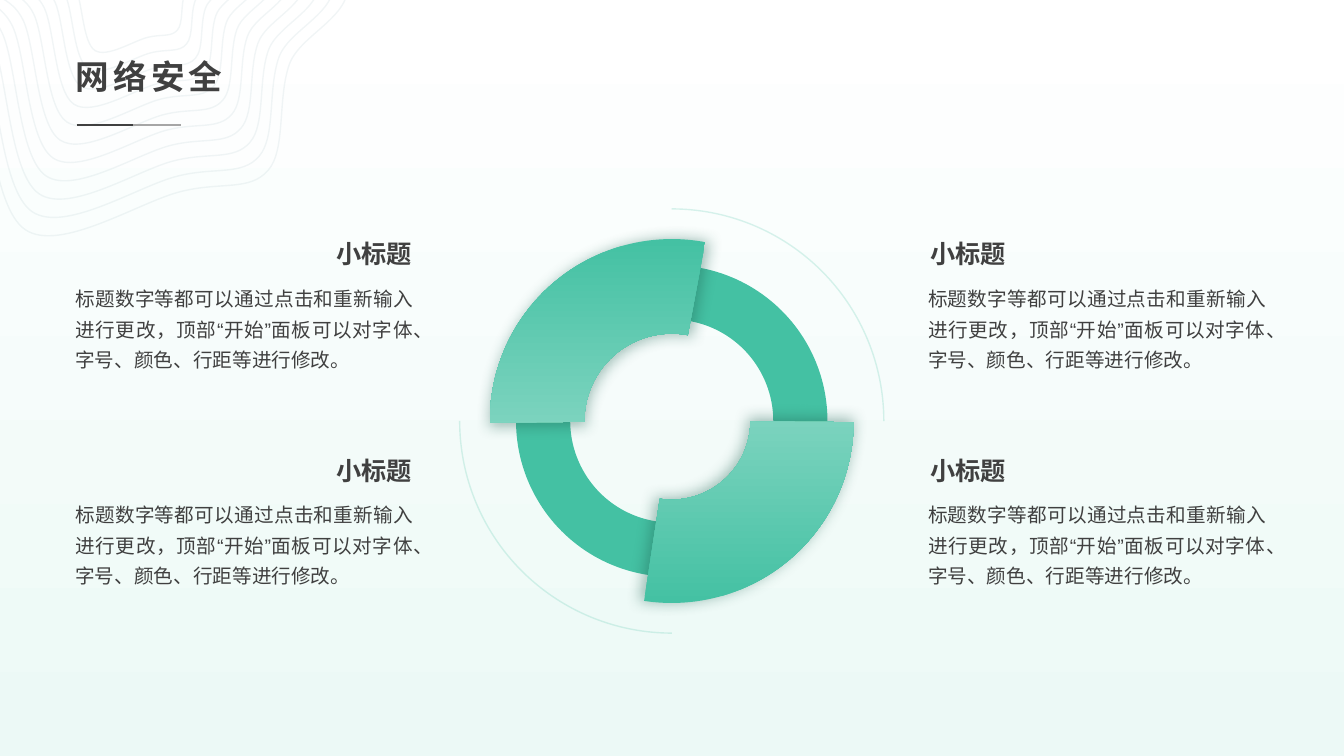
from lxml.etree import SubElement
from pptx import Presentation
from pptx.dml.color import RGBColor
from pptx.enum.lang import MSO_LANGUAGE_ID
from pptx.enum.shapes import MSO_CONNECTOR, MSO_SHAPE
from pptx.enum.text import MSO_ANCHOR, MSO_AUTO_SIZE, PP_ALIGN
from pptx.oxml.ns import qn
from pptx.util import Cm, Pt

WHITE = RGBColor(0xFF, 0xFF, 0xFF)
MINT = RGBColor(0xEC, 0xF9, 0xF6)
GREEN = RGBColor(0x44, 0xC1, 0xA3)
PALE_GREEN = RGBColor(0xB4, 0xE6, 0xDA)
SHADOW_GREEN = RGBColor(0x20, 0x62, 0x52)
CONTOUR_BLUE = RGBColor(0x1E, 0x5E, 0x70)
INK = RGBColor(0x40, 0x40, 0x40)
GREY = RGBColor(0xA6, 0xA6, 0xA6)
FONT = "Arial"

HEADING = "小标题"
BODY = "标题数字等都可以通过点击和重新输入进行更改，顶部“开始”面板可以对字体、字号、颜色、行距等进行修改。"

# Outermost contour in cm: a start point, then Bezier triples
CONTOUR_START = (4.55, 4.83)
CONTOUR_CURVES = [
    ((3.53, 5.08), (1.52, 6.38), (0.64, 5.79)),
    ((-0.23, 5.21), (-0.28, 2.31), (-0.74, 1.30)),
    ((-1.22, 0.28), (-2.08, 0.51), (-2.16, -0.36)),
    ((-2.26, -1.22), (-2.13, -3.05), (-1.27, -3.89)),
    ((-0.43, -4.75), (1.30, -5.99), (2.92, -5.49)),
    ((4.57, -4.98), (7.87, -2.08), (8.59, -0.89)),
    ((9.32, 0.30), (7.59, 0.76), (7.29, 1.63)),
    ((6.99, 2.49), (7.21, 3.78), (6.76, 4.29)),
    ((6.30, 4.83), (5.56, 4.57), CONTOUR_START),
]
CONTOUR_CENTRE = (3.29, -1.06)
CONTOUR_COUNT = 11
INNER_SCALE = 0.34


def set_gradient(fill, first, last):
    """Vertical gradient from top to bottom."""
    fill.gradient()
    fill.gradient_angle = 270
    for stop, colour, position in zip(fill.gradient_stops, (first, last), (0, 1)):
        stop.color.rgb = colour
        stop.position = position


def set_line(shape, colour, opacity=100):
    shape.line.color.rgb = colour
    shape.line.width = Pt(1)
    if opacity < 100:
        tint = shape.element.spPr.find(qn("a:ln")).find(".//" + qn("a:srgbClr"))
        SubElement(tint, qn("a:alpha")).set("val", str(opacity * 1000))


def write_text(box, text, size, bold=False, wrap=False):
    frame = box.text_frame
    frame.text = text
    frame.word_wrap = wrap
    frame.auto_size = MSO_AUTO_SIZE.SHAPE_TO_FIT_TEXT
    para = frame.paragraphs[0]
    span = para.runs[0]
    span.font.name = FONT
    span.font.size = Pt(size)
    span.font.bold = bold
    span.font.color.rgb = INK
    span.font.language_id = MSO_LANGUAGE_ID.SIMPLIFIED_CHINESE
    SubElement(span.font._element, qn("a:ea")).set("typeface", FONT)
    return para


def add_contour(page, scale):
    """One wavy outline, scaled about the common centre."""
    def place(point):
        return tuple(Cm(c + scale * (v - c)) for v, c in zip(point, CONTOUR_CENTRE))

    corners = [place(curve[-1]) for curve in CONTOUR_CURVES]
    builder = page.shapes.build_freeform(*place(CONTOUR_START))
    builder.add_line_segments(corners, close=True)
    contour = builder.convert_to_shape()
    # Turn each straight segment into its Bezier curve
    segments = list(contour.element.iter(qn("a:lnTo")))
    for segment, curve in zip(segments, CONTOUR_CURVES):
        segment.clear()
        segment.tag = qn("a:cubicBezTo")
        for x, y in map(place, curve):
            SubElement(segment, qn("a:pt"),
                       x=str(x - contour.left), y=str(y - contour.top))
    contour.shadow.inherit = False
    contour.fill.background()
    set_line(contour, CONTOUR_BLUE, 5)


def add_contours(page):
    """Nested outlines, shrinking evenly."""
    for index in range(CONTOUR_COUNT):
        add_contour(page, 1 - (1 - INNER_SCALE) * index / (CONTOUR_COUNT - 1))


def add_heading(page, left, top):
    """Slide title with its two-tone rule."""
    for length, colour in ((2.64, GREY), (1.42, INK)):
        rule = page.shapes.add_connector(
            MSO_CONNECTOR.STRAIGHT, Cm(left + 0.28), Cm(top + 1.75),
            Cm(left + 0.28 + length), Cm(top + 1.75))
        set_line(rule, colour)
        SubElement(rule.element.spPr, qn("a:effectLst"))
    title = page.shapes.title
    title.left, title.top, title.width, title.height = Cm(left), Cm(top), Cm(4.37), Cm(1.17)
    para = write_text(title, "网络安全", 24, bold=True)
    title.text_frame.vertical_anchor = MSO_ANCHOR.MIDDLE
    para.alignment = PP_ALIGN.LEFT
    para.line_spacing = 0.9
    para.runs[0].font._element.set("spc", "300")
    page.shapes.element.append(title.element)


def add_dial_part(page, kind, centre, size, flips="", adjustments=()):
    x, y = centre
    part = page.shapes.add_shape(
        kind, Cm(x - size / 2), Cm(y - size / 2), Cm(size), Cm(size))
    for index, value in enumerate(adjustments):
        part.adjustments[index] = value
    for flip in flips:
        part.element.spPr.find(qn("a:xfrm")).set("flip" + flip, "1")
    part.shadow.inherit = False
    return part


def add_blade_shadow(blade):
    effects = blade.element.spPr.find(qn("a:effectLst"))
    shadow = SubElement(effects, qn("a:outerShdw"), blurRad=str(Pt(10)),
                        sx="102000", sy="102000", algn="tl", rotWithShape="0")
    tint = SubElement(shadow, qn("a:srgbClr"), val=str(SHADOW_GREEN))
    SubElement(tint, qn("a:alpha"), val="40000")


def add_dial(page, centre):
    """Two ring quarters, two raised blades and two thin outer arcs."""
    for flips in ("V", "H"):
        ring = add_dial_part(page, MSO_SHAPE.BLOCK_ARC, centre, 7.85, flips,
                             (107.68, 161.88, 0.174))
        ring.fill.solid()
        ring.fill.fore_color.rgb = GREEN
        ring.line.fill.background()
    for flips, adjustments in (("", (107.68, 168.36, 0.26)),
                               ("HV", (108.21, 167.24, 0.284))):
        blade = add_dial_part(page, MSO_SHAPE.BLOCK_ARC, centre, 9.17, flips, adjustments)
        set_gradient(blade.fill, GREEN, PALE_GREEN)
        blade.line.fill.background()
        add_blade_shadow(blade)
    for flips in ("", "HV"):
        arc = add_dial_part(page, MSO_SHAPE.ARC, centre, 10.69, flips)
        arc.fill.background()
        set_line(arc, GREEN, 20)


def add_text_block(page, left, top, heading_offset):
    """Small heading above a justified paragraph."""
    body = page.shapes.add_textbox(Cm(left), Cm(top + 1.04), Cm(9.02), Cm(2.51))
    para = write_text(body, BODY, 14, wrap=True)
    para.alignment = PP_ALIGN.JUSTIFY
    para.line_spacing = 1.3
    heading = page.shapes.add_textbox(
        Cm(left + heading_offset), Cm(top), Cm(2.44), Cm(1.02))
    write_text(heading, HEADING, 18, bold=True)


def main():
    deck = Presentation()
    deck.slide_width, deck.slide_height = Cm(33.87), Cm(19.05)
    page = deck.slides.add_slide(deck.slide_layouts[5])
    set_gradient(page.background.fill, WHITE, MINT)
    add_contours(page)
    add_heading(page, 1.65, 1.4)
    add_dial(page, (16.93, 10.61))
    for left, heading_offset in ((23.14, 0.05), (1.65, 6.58)):
        for row in range(2):
            add_text_block(page, left, 5.89 + 5.45 * row, heading_offset)
    deck.save("out.pptx")


if __name__ == "__main__":
    main()
